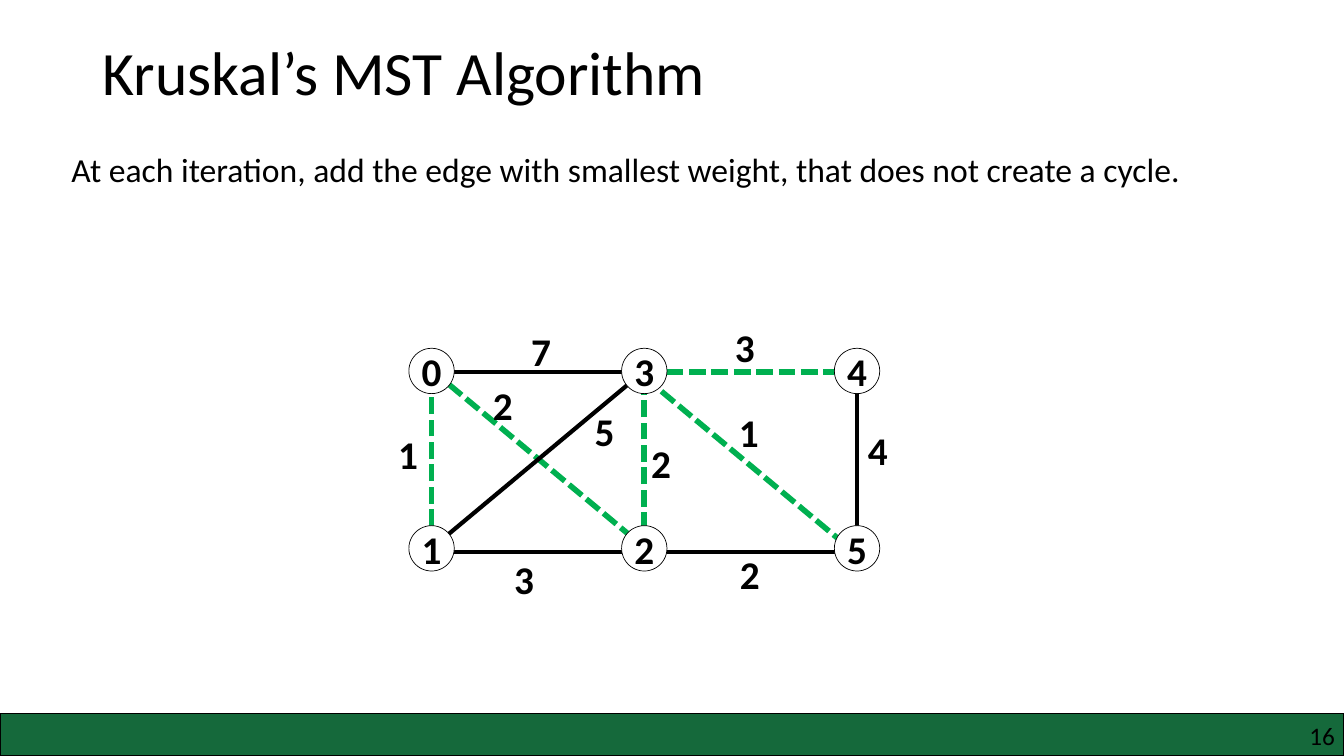
"""Builds a slide on Kruskal's algorithm with a weighted graph."""
from pptx import Presentation
from pptx.dml.color import RGBColor
from pptx.enum.dml import MSO_LINE
from pptx.enum.shapes import MSO_CONNECTOR, MSO_SHAPE
from pptx.enum.text import MSO_ANCHOR, PP_ALIGN
from pptx.oxml.ns import qn
from pptx.util import Inches, Pt
from lxml import etree

LEFT, CENTER, RIGHT = PP_ALIGN.LEFT, PP_ALIGN.CENTER, PP_ALIGN.RIGHT
TOP, MIDDLE = MSO_ANCHOR.TOP, MSO_ANCHOR.MIDDLE
DASH = MSO_LINE.SQUARE_DOT
STRAIGHT = MSO_CONNECTOR.STRAIGHT
OVAL, RECTANGLE = MSO_SHAPE.OVAL, MSO_SHAPE.RECTANGLE

TITLE = "Kruskal’s MST Algorithm"
RULE = "At each iteration, add the edge with smallest weight, that does not create a cycle."
PAGE_NUMBER = "16"
COLORS = {"ink": "000000", "tree": "00B050", "node": "FFFFFF", "footer": "15693B"}

# node: (column, row)
NODES = {"0": (0, 0), "1": (0, 1), "2": (1, 1), "3": (1, 0), "4": (2, 0), "5": (2, 1)}
# from, to, weight, in tree, vertical shift, label left and top
EDGES = [
    ("1", "0", "1", True, 0, 3.85, 4.22),
    ("5", "4", "4", False, 0, 8.51, 4.18),
    ("2", "3", "2", True, 0.03, 6.36, 4.31),
    ("0", "3", "7", False, 0.01, 5.17, 3.2),
    ("1", "2", "3", False, 0.04, 5, 5.46),
    ("3", "4", "3", True, 0.01, 7.19, 3.16),
    ("2", "5", "2", False, 0.04, 7.24, 5.41),
    ("0", "2", "2", True, -0.01, 4.79, 3.73),
    ("3", "5", "1", True, 0.06, 7.23, 4),
    ("3", "1", "5", False, 0, 5.8, 3.99),
]
WIDTH, HEIGHT = 13.33, 7.5
GRID_LEFT, GRID_TOP, COLUMN_STEP, ROW_STEP = 4.28, 3.68, 2.11, 1.76
NODE_SIZE, LABEL_WIDTH, LABEL_HEIGHT = 0.45, 0.61, 0.57
FOOTER_HEIGHT = 0.42


def color(name):
    return RGBColor.from_string(COLORS[name])


def write(shape, text, size=28, bold=False, align=LEFT, anchor=TOP,
          inset=None, spacing=None, wrap=True):
    frame = shape.text_frame
    frame.word_wrap = wrap
    frame.vertical_anchor = anchor
    if inset is not None:
        frame.margin_left = frame.margin_right = Inches(inset)
        frame.margin_top = frame.margin_bottom = Inches(inset)
    para = frame.paragraphs[0]
    para.alignment = align
    if spacing:
        para.line_spacing = spacing
    span = para.add_run()
    span.text = text
    span.font.name = "Calibri"
    span.font.size = Pt(size)
    span.font.bold = bold
    span.font.color.rgb = color("ink")


def add_text(slide, area, text, **style):
    box = slide.shapes.add_textbox(*map(Inches, area))
    write(box, text, **style)


def add_filled(slide, kind, area, fill, line_width):
    shape = slide.shapes.add_shape(kind, *map(Inches, area))
    shape.shadow.inherit = False
    shape.fill.solid()
    shape.fill.fore_color.rgb = color(fill)
    shape.line.color.rgb = color("ink")
    shape.line.width = Pt(line_width)
    return shape


def center(node):
    column, row = NODES[node]
    return GRID_LEFT + column * COLUMN_STEP, GRID_TOP + row * ROW_STEP


def add_edge(slide, start, end, in_tree, shift):
    (x1, y1), (x2, y2) = center(start), center(end)
    points = (x1, y1 + shift, x2, y2 + shift)
    edge = slide.shapes.add_connector(STRAIGHT, *map(Inches, points))
    edge.line.color.rgb = color("tree" if in_tree else "ink")
    edge.line.width = Pt(4 if in_tree else 3)
    if in_tree:
        edge.line.dash_style = DASH
    etree.SubElement(edge.element.find(qn("p:spPr")), qn("a:effectLst"))


def add_graph(slide):
    for start, end, weight, in_tree, shift, left, top in EDGES:
        add_edge(slide, start, end, in_tree, shift)
    for name in NODES:
        x, y = center(name)
        area = (x - NODE_SIZE / 2, y - NODE_SIZE / 2, NODE_SIZE, NODE_SIZE)
        node = add_filled(slide, OVAL, area, "node", 0.5)
        write(node, name, bold=True, align=CENTER, anchor=MIDDLE, inset=0, wrap=False)
    for start, end, weight, in_tree, shift, left, top in EDGES:
        add_text(slide, (left, top, LABEL_WIDTH, LABEL_HEIGHT), weight, bold=True)


def main():
    deck = Presentation()
    deck.slide_width, deck.slide_height = Inches(WIDTH), Inches(HEIGHT)
    slide = deck.slides.add_slide(deck.slide_layouts[5])
    title = slide.shapes.title
    title.left, title.top = Inches(0.92), Inches(0.02)
    title.width, title.height = Inches(11.5), Inches(1.45)
    write(title, TITLE, size=44, anchor=MIDDLE, spacing=0.9)
    add_graph(slide)
    add_text(slide, (0.61, 1.47, 12.11, 0.6), RULE, size=24, spacing=0.9)
    footer = (0, HEIGHT - FOOTER_HEIGHT, WIDTH, FOOTER_HEIGHT)
    add_filled(slide, RECTANGLE, footer, "footer", 1)
    add_text(slide, (10.17, 7.15, 3.07, 0.3), PAGE_NUMBER, size=18, align=RIGHT, inset=0)
    deck.save("out.pptx")


if __name__ == "__main__":
    main()
